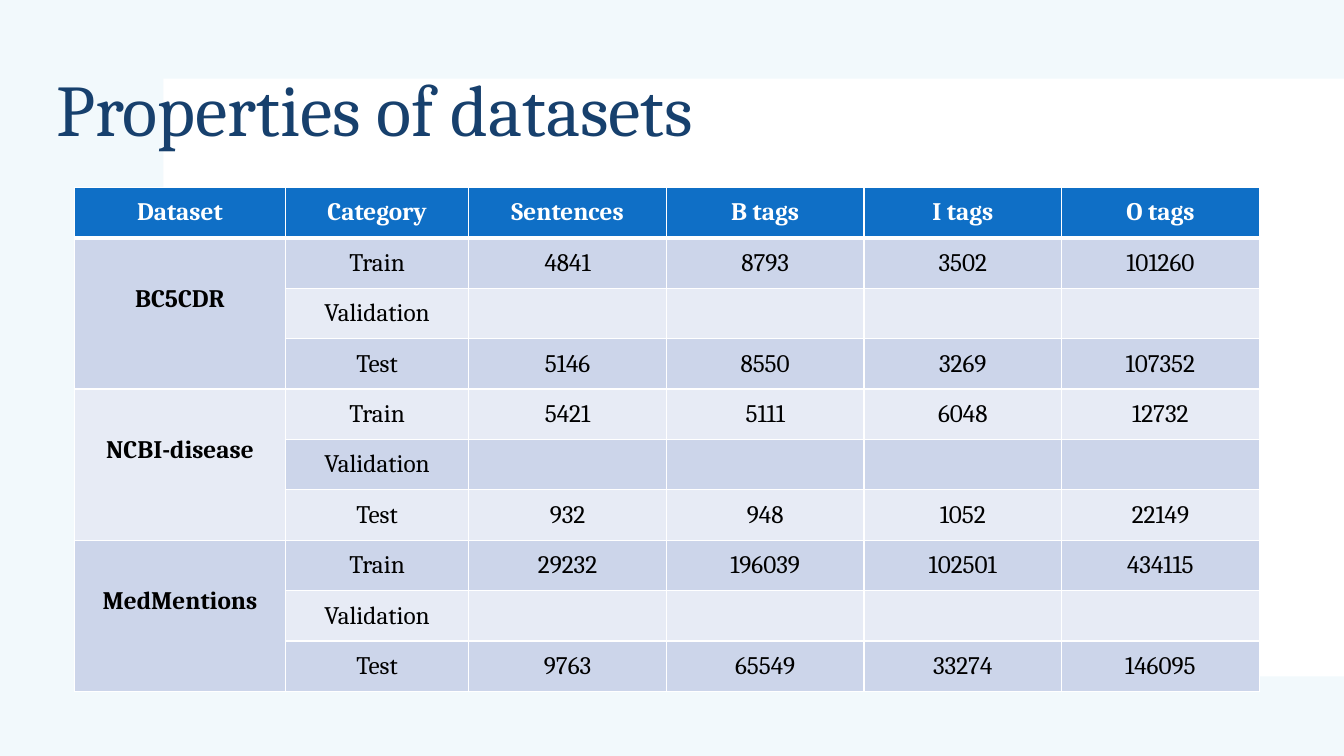
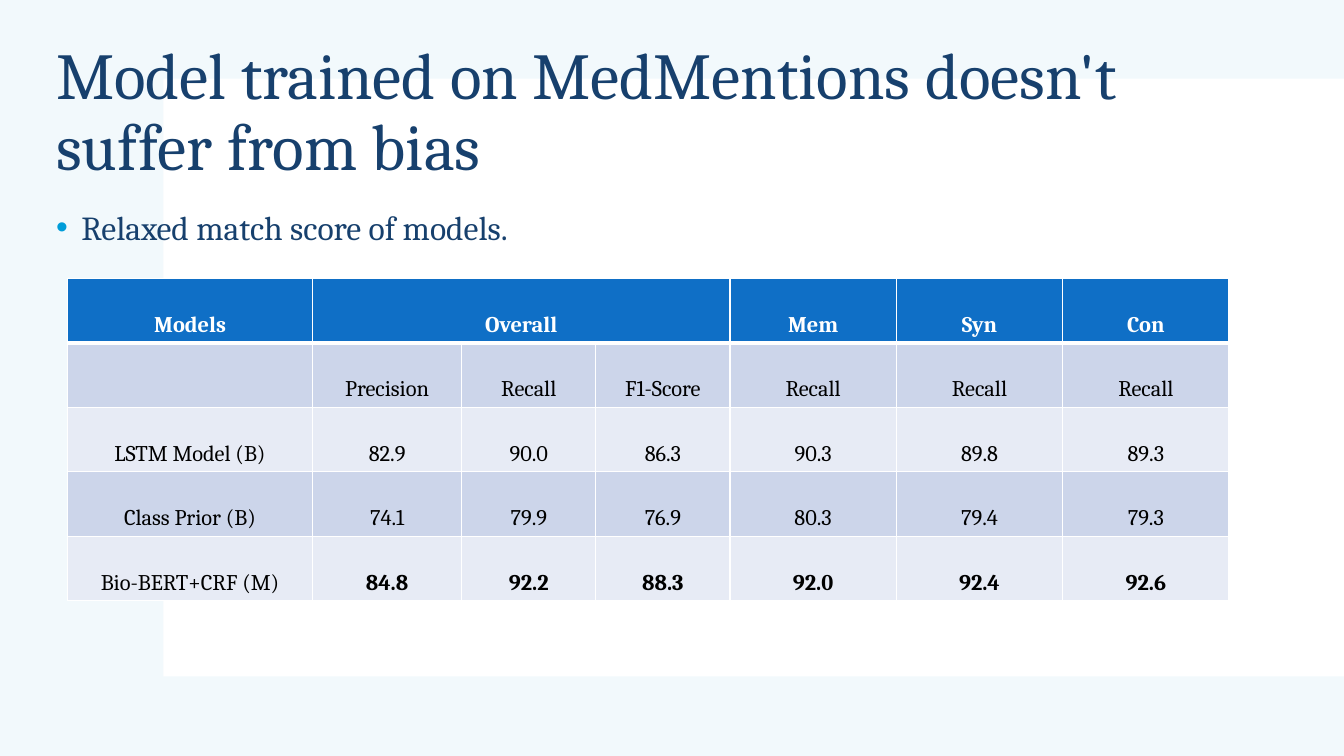
from lxml import etree
from pptx import Presentation
from pptx import util as u
from pptx.dml.color import RGBColor
from pptx.enum import shapes, text
from pptx.oxml import ns

FONT = "Cambria"
COLORS = {
    "title": "17406D",
    "bullet": "009DD9",
    "tint": "DBEFF9",
    "white": "FFFFFF",
    "black": "000000",
    "header": "0F6FC6",
    "band_dark": "CCD5EA",
    "band_light": "E7EBF5",
}


def rgb(name):
    return RGBColor.from_string(COLORS[name])


def sub(parent, tag, **attrs):
    return etree.SubElement(parent, ns.qn(tag), attrs)


def write(tf, content, size=18, color="black", bold=False, align=None,
          line_spacing=None, space_before=None):
    """Put one formatted paragraph into a text frame."""
    p = tf.paragraphs[0]
    p.alignment = align
    p.line_spacing = line_spacing
    p.space_before = space_before
    r = p.add_run()
    r.text = content
    r.font.name, r.font.size, r.font.bold = FONT, u.Pt(size), bold
    r.font.color.rgb = rgb(color)
    return p


def set_borders(cell, **widths):
    """White cell borders; widths in points for L, R, T and B, in that order."""
    tcPr = cell._tc.get_or_add_tcPr()
    for i, (side, width) in enumerate(widths.items()):
        ln = etree.Element(ns.qn(f"a:ln{side}"), w=str(u.Pt(width)))
        sub(sub(ln, "a:solidFill"), "a:srgbClr", val=COLORS["white"])
        tcPr.insert(i, ln)


class Deck:
    """Shared style plus the slide being drawn."""

    def __init__(self):
        self.prs = Presentation()
        self.prs.slide_width = u.Inches(13.33)
        self.prs.slide_height = u.Inches(7.5)
        self.s = None

    def slide(self, title, size):
        self.s = self.prs.slides.add_slide(self.prs.slide_layouts[6])
        # Backdrop: pale tint with a white panel
        self.panel(0, 0, 13.33, 7.5, "tint", alpha=35)
        self.panel(1.62, 0.78, 11.71, 5.93, "white")
        tf = self.text_frame(0.46, 0.4, 11.53, 1.45)
        tf.vertical_anchor = text.MSO_ANCHOR.MIDDLE
        write(tf, title, size=size, color="title", line_spacing=0.9)

    def panel(self, x, y, w, h, color, alpha=100):
        sp = self.s.shapes.add_shape(
            shapes.MSO_SHAPE.RECTANGLE, *map(u.Inches, (x, y, w, h)))
        sp.shadow.inherit = False
        sp.line.fill.background()
        sp.fill.solid()
        sp.fill.fore_color.rgb = rgb(color)
        if alpha < 100:
            clr = sp._element.spPr.find(".//" + ns.qn("a:srgbClr"))
            sub(clr, "a:alpha", val=str(alpha * 1000))

    def text_frame(self, x, y, w, h):
        tf = self.s.shapes.add_textbox(*map(u.Inches, (x, y, w, h))).text_frame
        tf.word_wrap = True
        return tf

    def bullet(self, content, x, y, w, h):
        p = write(self.text_frame(x, y, w, h), content, size=24, color="title",
                  space_before=u.Pt(10))
        pPr = p._p.get_or_add_pPr()
        indent = u.Inches(0.25)
        pPr.set("marL", str(indent))
        pPr.set("indent", str(-indent))
        sub(sub(pPr, "a:buClr"), "a:srgbClr", val=COLORS["bullet"])
        sub(pPr, "a:buFont", typeface="Arial")
        sub(pPr, "a:buChar", char="•")

    def table(self, rows, x, y, widths, row_height, size, is_bold,
              anchor=text.MSO_ANCHOR.MIDDLE, merges=()):
        """Banded table; merges lists (row, column, last row, last column)."""
        tbl = self.s.shapes.add_table(
            len(rows), len(widths), u.Inches(x), u.Inches(y),
            u.Inches(sum(widths)), u.Inches(row_height * len(rows))).table
        tbl.first_row = tbl.horz_banding = False
        for col, width in zip(tbl.columns, widths):
            col.width = u.Inches(width)
        for i, row in enumerate(rows):
            tbl.rows[i].height = u.Inches(row_height)
            fill = "header" if i == 0 else "band_dark" if i % 2 else "band_light"
            for j, value in enumerate(row):
                cell = tbl.cell(i, j)
                cell.vertical_anchor = anchor
                cell.fill.solid()
                cell.fill.fore_color.rgb = rgb(fill)
                set_borders(cell, L=1, R=1, T=3 if i == 1 else 1,
                            B=3 if i == 0 else 1)
                if value:
                    write(cell.text_frame, value, size=size,
                          color="black" if i else "white",
                          bold=i == 0 or is_bold(i, j),
                          align=text.PP_ALIGN.CENTER)
        for top, left, bottom, right in merges:
            tbl.cell(top, left).merge(tbl.cell(bottom, right))
        return tbl


def dataset_slide(deck):
    deck.slide("Properties of datasets", 52)
    counts = {
        "BC5CDR": (["4841", "8793", "3502", "101260"],
                   ["5146", "8550", "3269", "107352"]),
        "NCBI-disease": (["5421", "5111", "6048", "12732"],
                         ["932", "948", "1052", "22149"]),
        "MedMentions": (["29232", "196039", "102501", "434115"],
                        ["9763", "65549", "33274", "146095"]),
    }
    rows = [["Dataset", "Category", "Sentences", "B tags", "I tags", "O tags"]]
    for name, (train, test) in counts.items():
        rows += [[name, "Train", *train],
                 ["", "Validation"] + [""] * 4,
                 ["", "Test", *test]]
    starts = range(1, len(rows), 3)
    tbl = deck.table(rows, 0.74, 1.86, [2.09, 1.82] + [1.96] * 4, 0.5, 18,
                     is_bold=lambda i, j: j == 0,
                     merges=[(i, 0, i + 2, 0) for i in starts])
    # Dataset names sit a little above the middle of their merged cells
    for i in starts:
        tbl.cell(i, 0).margin_bottom = u.Inches(0.33)


def score_slide(deck):
    deck.slide("Model trained on MedMentions doesn't suffer from bias", 46.8)
    deck.bullet("Relaxed match score of models.", 0.46, 2, 12.1, 0.6)
    rows = [
        ["Models", "Overall", "", "", "Mem", "Syn", "Con"],
        ["", "Precision", "Recall", "F1-Score"] + ["Recall"] * 3,
        ["LSTM Model (B)", "82.9", "90.0", "86.3", "90.3", "89.8", "89.3"],
        ["Class Prior (B)", "74.1", "79.9", "76.9", "80.3", "79.4", "79.3"],
        ["Bio-BERT+CRF (M)", "84.8", "92.2", "88.3", "92.0", "92.4", "92.6"],
    ]
    best = len(rows) - 1
    deck.table(rows, 0.67, 2.76, [2.43, 1.48] + [1.33] * 2 + [1.65] * 3,
               0.64, 16, is_bold=lambda i, j: i == best and j > 0,
               anchor=text.MSO_ANCHOR.BOTTOM, merges=[(0, 1, 0, 3)])


def main():
    deck = Deck()
    dataset_slide(deck)
    score_slide(deck)
    deck.prs.save("out.pptx")


if __name__ == "__main__":
    main()
